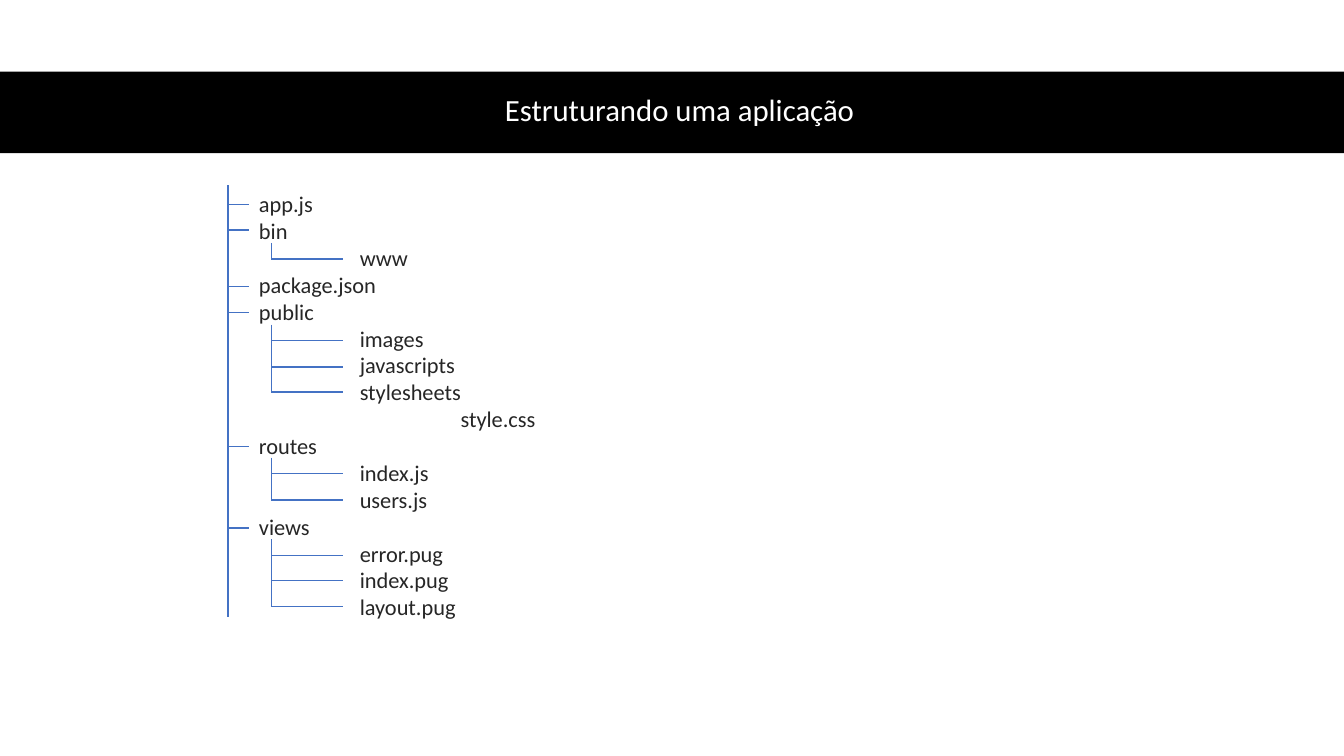
"""Builds a slide showing the folder tree of a web application."""
import dataclasses

import lxml.etree
import pptx
import pptx.dml.color
import pptx.enum.shapes
import pptx.enum.text
import pptx.oxml.ns
import pptx.util

Inches = pptx.util.Inches
RGBColor = pptx.dml.color.RGBColor


@dataclasses.dataclass(frozen=True)
class Theme:
    """Typeface, type sizes and colours of the slide."""

    font: str = "Calibri"
    title_size: int = 22
    entry_size: int = 16
    line_width: int = 1
    band: RGBColor = RGBColor(0x00, 0x00, 0x00)
    title: RGBColor = RGBColor(0xFF, 0xFF, 0xFF)
    entry: RGBColor = RGBColor(0x26, 0x26, 0x26)
    branch: RGBColor = RGBColor(0x44, 0x72, 0xC4)


@dataclasses.dataclass(frozen=True)
class Entry:
    """A file or folder and its depth in the tree."""

    name: str
    depth: int = 0


@dataclasses.dataclass(frozen=True)
class Branch:
    """A vertical stem with twigs at the given heights."""

    x: float
    top: float
    bottom: float
    twig_length: float
    twigs: tuple[float, ...]


THEME = Theme()
INDENT = 1
FOLDER_X, FOLDER_TWIG = 2.69, 0.71

ENTRIES = (
    Entry("app.js"),
    Entry("bin"),
    Entry("www", 1),
    Entry("package.json"),
    Entry("public"),
    Entry("images", 1),
    Entry("javascripts", 1),
    Entry("stylesheets", 1),
    Entry("style.css", 2),
    Entry("routes"),
    Entry("index.js", 1),
    Entry("users.js", 1),
    Entry("views"),
    Entry("error.pug", 1),
    Entry("index.pug", 1),
    Entry("layout.pug", 1),
)

BRANCHES = (
    Branch(2.26, 1.84, 6.12, 0.21, (2.03, 2.28, 2.84, 3.1, 4.43, 5.24)),
    Branch(FOLDER_X, 2.41, 2.57, FOLDER_TWIG, (2.57,)),
    Branch(FOLDER_X, 3.22, 3.89, FOLDER_TWIG, (3.38, 3.64, 3.89)),
    Branch(FOLDER_X, 4.54, 4.96, FOLDER_TWIG, (4.7, 4.96)),
    Branch(FOLDER_X, 5.35, 6.02, FOLDER_TWIG, (5.51, 5.76, 6.02)),
)


def style_font(font, size: int, color: RGBColor) -> None:
    """Apply the theme typeface with a size and colour."""
    font.name = THEME.font
    font.size = pptx.util.Pt(size)
    font.color.rgb = color


def draw_title(slide, text: str) -> None:
    """Place the title over a full-width band."""
    title = slide.shapes.title
    band = slide.shapes.add_shape(
        pptx.enum.shapes.MSO_SHAPE.RECTANGLE,
        Inches(0), Inches(0.71), Inches(13.33), Inches(0.81))
    band.shadow.inherit = False
    band.fill.solid()
    band.fill.fore_color.rgb = THEME.band
    band.line.fill.background()
    title._element.addprevious(band._element)

    title.left, title.top = Inches(0.61), Inches(0.7)
    title.width, title.height = Inches(12.26), Inches(0.81)
    frame = title.text_frame
    frame.text = text
    frame.auto_size = pptx.enum.text.MSO_AUTO_SIZE.NONE
    frame.vertical_anchor = pptx.enum.text.MSO_ANCHOR.MIDDLE
    heading = frame.paragraphs[0]
    heading.alignment = pptx.enum.text.PP_ALIGN.CENTER
    heading.line_spacing = 0.9
    style_font(heading.font, THEME.title_size, THEME.title)


def draw_entries(slide, entries: tuple[Entry, ...]) -> None:
    """List the files and folders, indented by depth."""
    listing = slide.shapes.add_textbox(
        Inches(2.47), Inches(1.84), Inches(8.7), Inches(4.54))
    frame = listing.text_frame
    frame.word_wrap = True
    frame.auto_size = pptx.enum.text.MSO_AUTO_SIZE.SHAPE_TO_FIT_TEXT
    for index, entry in enumerate(entries):
        line = frame.add_paragraph() if index else frame.paragraphs[0]
        line.text = entry.name
        style_font(line.font, THEME.entry_size, THEME.entry)
        line._p.get_or_add_pPr().set("marL", str(Inches(INDENT * entry.depth)))


def draw_line(group, x1: float, y1: float, x2: float, y2: float) -> None:
    """Draw one straight tree line."""
    line = group.shapes.add_connector(
        pptx.enum.shapes.MSO_CONNECTOR.STRAIGHT,
        Inches(x1), Inches(y1), Inches(x2), Inches(y2))
    line.line.color.rgb = THEME.branch
    line.line.width = pptx.util.Pt(THEME.line_width)
    lxml.etree.SubElement(line._element.spPr, pptx.oxml.ns.qn("a:effectLst"))


def draw_branch(slide, branch: Branch) -> None:
    """Draw a vertical stem and its twigs as a group."""
    group = slide.shapes.add_group_shape()
    draw_line(group, branch.x, branch.top, branch.x, branch.bottom)
    for y in branch.twigs:
        draw_line(group, branch.x, y, branch.x + branch.twig_length, y)


def main() -> None:
    """Build and save the slide."""
    deck = pptx.Presentation()
    deck.slide_width, deck.slide_height = Inches(13.33), Inches(7.5)
    slide = deck.slides.add_slide(deck.slide_layouts.get_by_name("Title Only"))
    draw_title(slide, "Estruturando uma aplicação")
    draw_entries(slide, ENTRIES)
    for branch in BRANCHES:
        draw_branch(slide, branch)
    deck.save("out.pptx")


if __name__ == "__main__":
    main()
